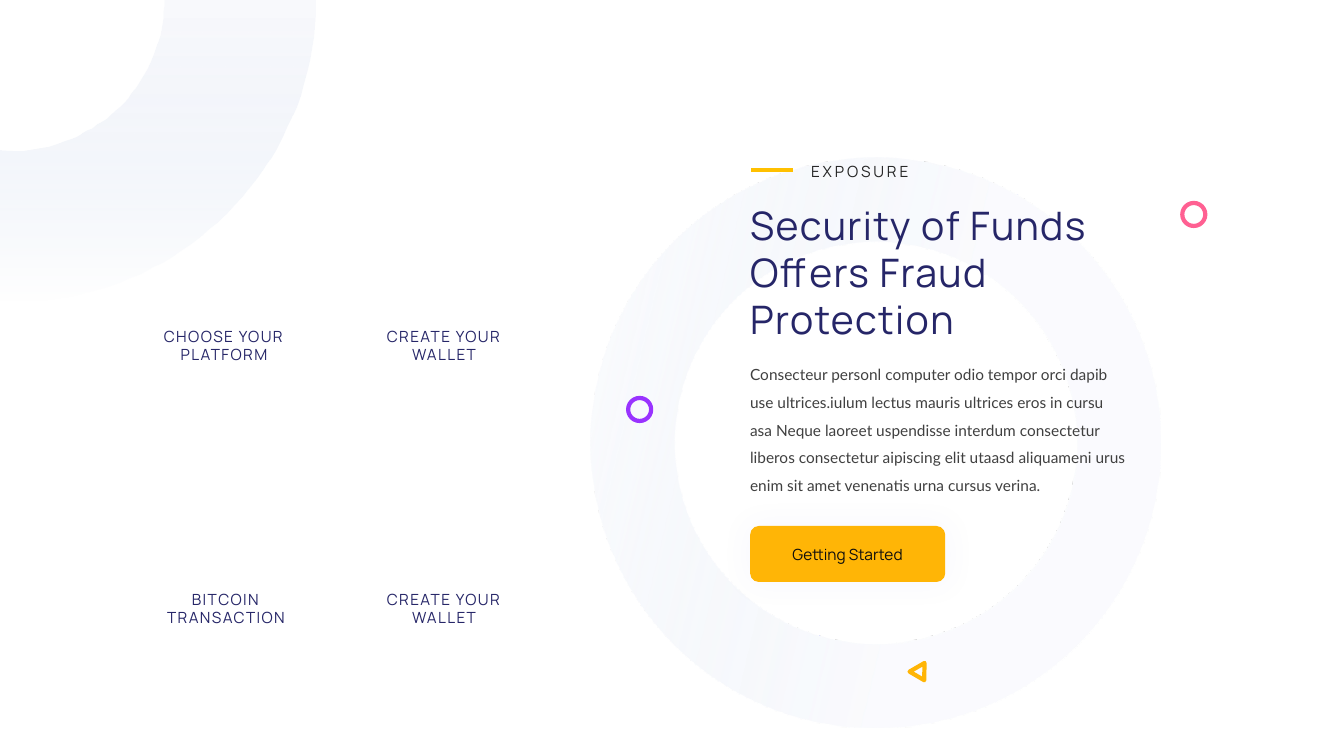
from lxml import etree
from pptx import Presentation
from pptx import util as u
from pptx.dml.color import RGBColor
from pptx.enum import shapes, text
from pptx.oxml import ns

PX = 914400 / 100.8
COL = {
    "navy": "262668", "gold": "FFB506", "amber": "FFC000", "pink": "FF6092",
    "violet": "9933FF", "black": "0D0D0D", "dark": "262626", "gray": "404040",
    "pale": "F9FAFD", "blue": "DAE3F3", "glow": "7373DC",
}
KIND = shapes.MSO_SHAPE

prs = Presentation()
prs.slide_width, prs.slide_height = u.Inches(13.33), u.Inches(7.5)
slide = prs.slides.add_slide(prs.slide_layouts[6])
items = slide.shapes


def px(*nums):
    return [round(n * PX) for n in nums]


def write(box, lines, size, font, color, gap=0, align=None, lead=None):
    frame = box.text_frame
    frame.word_wrap = True
    for i, line in enumerate(lines):
        para = frame.paragraphs[0] if i == 0 else frame.add_paragraph()
        run = para.add_run()
        run.text = line
        if gap:
            run.font._element.set("spc", str(gap * 100))
        para.font.size, para.font.name = u.Pt(size), font
        para.font.color.rgb = RGBColor.from_string(COL[color])
        para.alignment, para.line_spacing = align, lead


# Large pale rings, fading out
donut = items.add_shape(KIND.DONUT, *px(590, 158, 570, 570))
donut.adjustments[0] = 0.148
donut.rotation = 103.3

curves = [
    [(315, 0), (315, 167), (179, 302), (13, 302)],
    [(13, 151), (96, 151), (164, 84), (164, 0)],
]
arcs = []
for a, b, c, d in curves:
    arc = []
    for n in range(41):
        t = n / 40
        s = 1 - t
        arc.append(tuple(
            s**3 * a[k] + 3 * s * s * t * b[k] + 3 * s * t * t * c[k] + t**3 * d[k]
            for k in (0, 1)))
    arcs.append(arc)
edge = arcs[0] + [(0, 301), (0, 150)] + arcs[1]
pen = items.build_freeform(*edge[0], scale=PX)
pen.add_line_segments(edge[1:], close=True)
corner = pen.convert_to_shape()

for ring, start, alphas in ((donut, 0.41, (72, 0)), (corner, 0, (100, 0))):
    ring.shadow.inherit = False
    ring.line.fill.background()
    ring.fill.gradient()
    ring.fill.gradient_angle = 270
    stops = ring.fill.gradient_stops
    for stop, spot, name in zip(stops, (start, 1), ("pale", "blue")):
        stop.position = spot
        stop.color.rgb = RGBColor.from_string(COL[name])
    tones = ring._element.spPr.iter(ns.qn("a:srgbClr"))
    for tone, alpha in zip(tones, alphas):
        etree.SubElement(tone, ns.qn("a:alpha"), val=str(alpha * 1000))

# Step labels
steps = [
    (134, 322, "CHOOSE YOUR PLATFORM"), (354, 322, "CREATE YOUR WALLET"),
    (136, 585, "BITCOIN TRANSACTION"), (354, 585, "CREATE YOUR WALLET"),
]
for x, y, label in steps:
    box = items.add_textbox(*px(x, y, 180, 47))
    write(box, [label], 11, "Manrope", "navy", 1, text.PP_ALIGN.CENTER)

# Small outlined accents
marks = [
    (KIND.OVAL, 1182, 203, 23, 23, 0, "pink"),
    (KIND.OVAL, 628, 398, 23, 23, 0, "violet"),
    (KIND.ISOSCELES_TRIANGLE, 912, 662, 17, 15, 30.4, "gold"),
]
for kind, x, y, w, h, turn, color in marks:
    mark = items.add_shape(kind, *px(x, y, w, h))
    mark.rotation = turn
    mark.shadow.inherit = False
    mark.fill.background()
    mark.line.color.rgb = RGBColor.from_string(COL[color])
    mark.line.width = u.Pt(3)

# Title
title = items.add_textbox(*px(740, 196, 397, 152))
write(title, ["Security of Funds", "Offers Fraud Protection"], 28, "Manrope", "navy", 1)

# Button with a soft glow
button = items.add_shape(KIND.ROUNDED_RECTANGLE, *px(750, 526, 195, 56))
button.adjustments[0] = 0.155
button.fill.solid()
button.fill.fore_color.rgb = RGBColor.from_string(COL["gold"])
button.line.fill.background()
button.shadow.inherit = False
effect = button._element.spPr.find(ns.qn("a:effectLst"))
glow = etree.SubElement(effect, ns.qn("a:outerShdw"), blurRad=str(u.Pt(22)),
                        dist="0", dir="0", algn="ctr", rotWithShape="0")
tone = etree.SubElement(glow, ns.qn("a:srgbClr"), val=COL["glow"])
etree.SubElement(tone, ns.qn("a:alpha"), val="6000")
button.text_frame.vertical_anchor = text.MSO_ANCHOR.MIDDLE
write(button, ["Getting Started"], 11, "Manrope", "black", align=text.PP_ALIGN.CENTER)

# Kicker with its dash
kicker = items.add_textbox(*px(801, 157, 161, 29))
write(kicker, ["EXPOSURE"], 11, "Manrope", "dark", 2)
dash = items.add_connector(shapes.MSO_CONNECTOR.STRAIGHT, *px(751, 170, 793, 170))
dash.line.color.rgb = RGBColor.from_string(COL["amber"])
dash.line.width = u.Pt(2.25)
etree.SubElement(dash._element.spPr, ns.qn("a:effectLst"))

# Body text
body = items.add_textbox(*px(740, 351, 397, 147))
write(body, [
    "Consecteur personl computer odio tempor orci dapib use ultrices.iulum "
    "lectus mauris ultrices eros in cursu asa Neque laoreet uspendisse interdum "
    "consectetur liberos consectetur aipiscing elit utaasd aliquameni urus enim "
    "sit amet venenatis urna cursus verina."
], 11, "Lato", "gray", lead=1.5)

prs.save("out.pptx")
